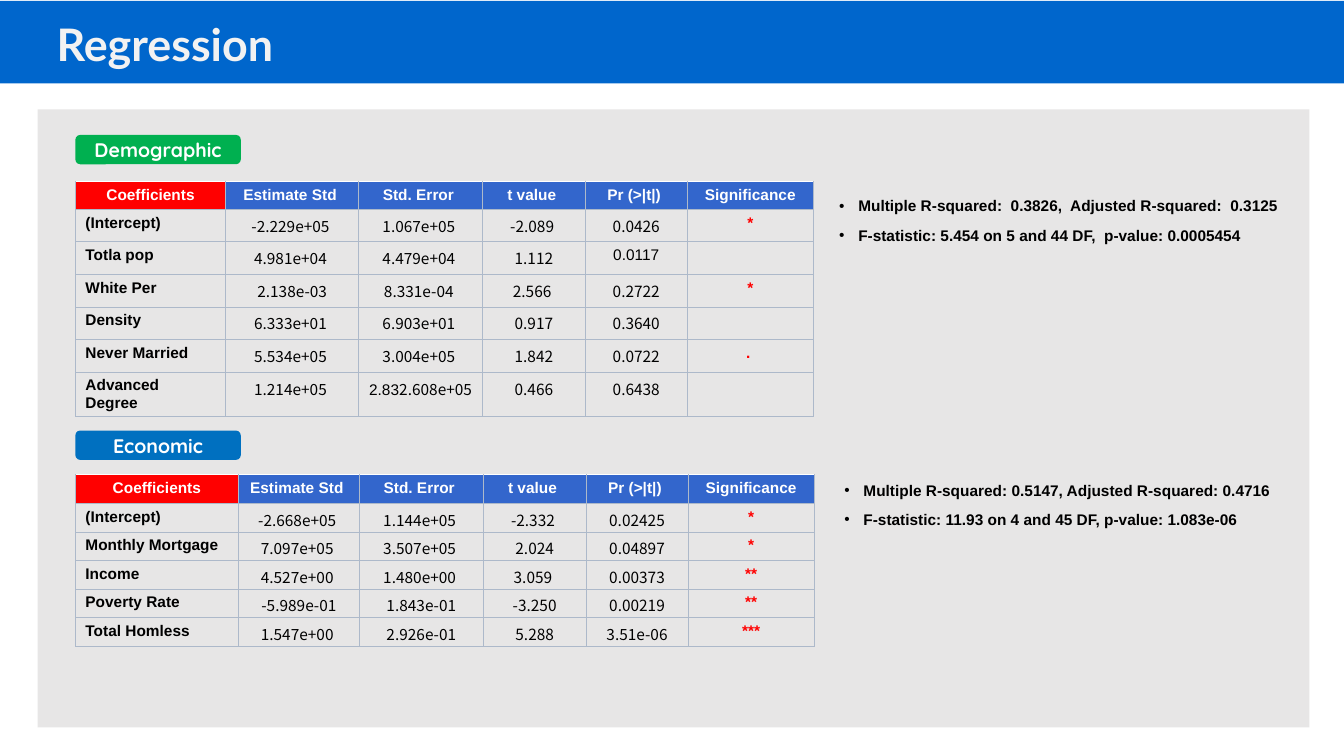
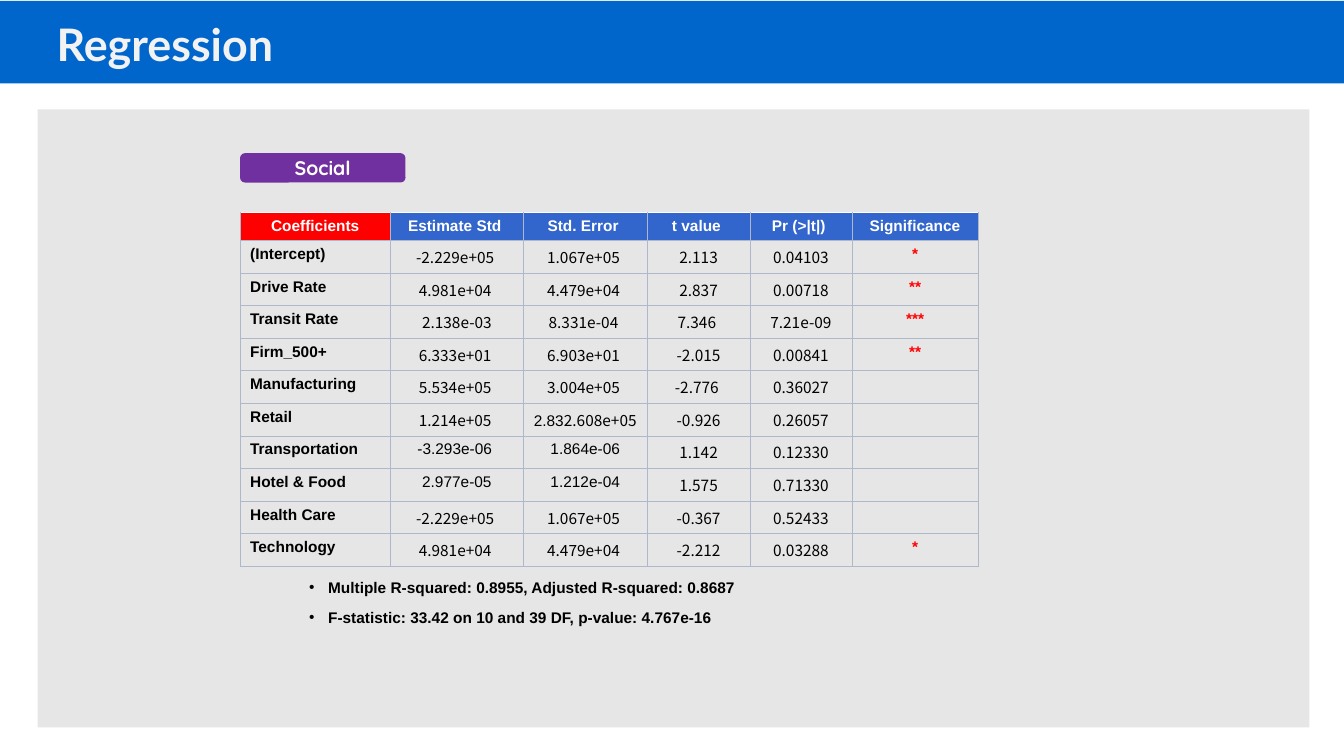
from pptx import Presentation
from pptx.dml.color import RGBColor
from pptx.enum.shapes import MSO_SHAPE
from pptx.enum.text import MSO_ANCHOR, MSO_AUTO_SIZE, PP_ALIGN
from pptx.oxml.ns import qn
from pptx.util import Cm, Pt
from lxml.etree import SubElement

WHITE = RGBColor(0xFF, 0xFF, 0xFF)
BLACK = RGBColor(0x00, 0x00, 0x00)
PALE = RGBColor(0xF2, 0xF2, 0xF2)
GREY = RGBColor(0xE7, 0xE6, 0xE6)
BAND = RGBColor(0x00, 0x66, 0xCC)
HEAD = RGBColor(0x33, 0x66, 0xCC)
RED = RGBColor(0xFF, 0x00, 0x00)
EDGE = RGBColor(0xAD, 0xB9, 0xCA)
GREEN = RGBColor(0x00, 0xB0, 0x50)
BLUE = RGBColor(0x00, 0x70, 0xC0)
PURPLE = RGBColor(0x70, 0x30, 0xA0)

TITLE = {"name": "Lato", "size": Pt(32), "bold": True}
BADGE = {"name": "Quicksand", "size": Pt(14), "bold": True}
STRONG = {"name": "Arial", "size": Pt(11), "bold": True}
PLAIN = {"name": "Arial", "size": Pt(11), "bold": False}
FIGURE = {"name": "Noto Sans CJK KR", "size": Pt(11), "bold": False}

WIDE = (3.79, 3.35, 3.12, 2.59, 2.57, 3.18)
LONG = (4.11, 3.05, 3.12, 2.59, 2.57, 3.18)
HEADS = ("Coefficients", "Estimate Std ", "Std. Error ", "t value ", "Pr (>|t|) ", "Significance")
ARIAL = {"0.0117", "2.83", "-3.293e-06 ", "1.864e-06", "2.977e-05", " 1.212e-04 "}
SPLIT = ("2.83", "2.608e+05 ")

DECK = [
    [
        {
            "name": "Demographic", "tint": GREEN, "left": 1.9, "top": 3.4,
            "grid": 4.57, "cols": WIDE, "row": 0.82, "pad": 0.13, "note": (20.9, 4.83),
            "rows": [
                ("(Intercept)", "-2.229e+05 ", "1.067e+05 ", "-2.089 ", "0.0426", "*"),
                ("Totla pop", "4.981e+04 ", "4.479e+04 ", "1.112", "0.0117", ""),
                ("White Per", " 2.138e-03 ", "8.331e-04 ", "2.566 ", "0.2722", "*"),
                ("Density", "6.333e+01 ", "6.903e+01 ", " 0.917 ", "0.3640", ""),
                ("Never Married", "5.534e+05 ", "3.004e+05 ", "1.842", "0.0722", ". "),
                ("Advanced Degree", "1.214e+05 ", SPLIT, "0.466", "0.6438", ""),
            ],
            "facts": (
                "Multiple R-squared:  0.3826,  Adjusted R-squared:  0.3125",
                "F-statistic: 5.454 on 5 and 44 DF,  p-value: 0.0005454",
            ),
        },
        {
            "name": "Economic", "tint": BLUE, "left": 1.9, "top": 10.85,
            "grid": 11.96, "cols": LONG, "row": 0.72, "pad": 0.02, "note": (21.03, 11.99),
            "rows": [
                ("(Intercept)", "-2.668e+05 ", "1.144e+05 ", "-2.332 ", " 0.02425 ", "*"),
                ("Monthly Mortgage", "7.097e+05 ", "3.507e+05 ", "2.024", "0.04897", "*"),
                ("Income", "4.527e+00 ", "1.480e+00 ", "3.059 ", "0.00373", "**"),
                ("Poverty Rate", " -5.989e-01 ", "1.843e-01", " -3.250 ", "0.00219", "**"),
                ("Total Homless", "1.547e+00 ", "2.926e-01", "5.288", "3.51e-06", "***"),
            ],
            "facts": (
                "Multiple R-squared: 0.5147, Adjusted R-squared: 0.4716",
                "F-statistic: 11.93 on 4 and 45 DF, p-value: 1.083e-06",
            ),
        },
    ],
    [
        {
            "name": "Social", "tint": PURPLE, "left": 6.05, "top": 3.86,
            "grid": 5.36, "cols": WIDE, "row": 0.82, "pad": 0.13, "note": (7.54, 14.45),
            "rows": [
                ("(Intercept)", "-2.229e+05 ", "1.067e+05 ", "2.113", "0.04103", "*"),
                ("Drive Rate", "4.981e+04 ", "4.479e+04 ", "2.837", "0.00718", "**"),
                ("Transit Rate", " 2.138e-03 ", "8.331e-04 ", "7.346 ", "7.21e-09", "***"),
                ("Firm_500+", "6.333e+01 ", "6.903e+01 ", "-2.015", "0.00841", "**"),
                ("Manufacturing", "5.534e+05 ", "3.004e+05 ", "-2.776 ", "0.36027", ""),
                ("Retail", "1.214e+05 ", SPLIT, " -0.926 ", "0.26057", ""),
                ("Transportation", "-3.293e-06 ", "1.864e-06", "1.142", "0.12330", ""),
                ("Hotel & Food", "2.977e-05", " 1.212e-04 ", "1.575", "0.71330", ""),
                ("Health Care", "-2.229e+05 ", "1.067e+05 ", "-0.367", "0.52433", ""),
                ("Technology", "4.981e+04 ", "4.479e+04 ", "-2.212", "0.03288", "*"),
            ],
            "facts": (
                "Multiple R-squared: 0.8955, Adjusted R-squared: 0.8687",
                "F-statistic: 33.42 on 10 and 39 DF, p-value: 4.767e-16",
            ),
        },
    ],
]


def write(para, text, form, tint):
    run = para.add_run()
    run.text = text
    for key, value in form.items():
        setattr(run.font, key, value)
    run.font.color.rgb = tint


def block(slide, kind, box, tint):
    shape = slide.shapes.add_shape(kind, *[Cm(n) for n in box])
    shape.shadow.inherit = False
    shape.fill.solid()
    shape.fill.fore_color.rgb = tint
    shape.line.fill.background()
    return shape


deck = Presentation()
deck.slide_width, deck.slide_height = Cm(33.87), Cm(19.05)

for parts in DECK:
    slide = deck.slides.add_slide(deck.slide_layouts[5])
    title = slide.shapes.title
    for box, tint in (((0.95, 2.76, 32.05, 15.57), GREY), ((0, 0.02, 33.87, 2.08), BAND)):
        back = block(slide, MSO_SHAPE.RECTANGLE, box, tint)
        title.element.addprevious(back.element)
    place = {"left": Cm(1.17), "top": Cm(0.71), "width": Cm(21.23), "height": Cm(1.22)}
    for key, value in place.items():
        setattr(title, key, value)
    frame = title.text_frame
    frame.auto_size = MSO_AUTO_SIZE.NONE
    frame.vertical_anchor = MSO_ANCHOR.BOTTOM
    para = frame.paragraphs[0]
    para.alignment = PP_ALIGN.LEFT
    para.line_spacing = 0.9
    write(para, "Regression", TITLE, PALE)

    for part in parts:
        left, cols, rows = part["left"], part["cols"], [HEADS] + part["rows"]
        high = [0.7] + [part["row"]] * len(part["rows"])
        size = (left, part["grid"], sum(cols), sum(high))
        table = slide.shapes.add_table(len(rows), len(cols), *[Cm(n) for n in size]).table
        table.first_row = table.horz_banding = False
        for col, width in zip(table.columns, cols):
            col.width = Cm(width)
        for r, row in enumerate(rows):
            table.rows[r].height = Cm(high[r])
            for c, item in enumerate(row):
                cell = table.cell(r, c)
                props = cell._tc.get_or_add_tcPr()
                for side in "LRTB":
                    top = r == 0 and side == "T"
                    line = SubElement(props, qn("a:ln" + side), w=str(Pt(1 if top else 0.5)))
                    fill = SubElement(line, qn("a:solidFill"))
                    SubElement(fill, qn("a:srgbClr"), val=str(WHITE if top else EDGE))
                if r == 0:
                    cell.fill.solid()
                    cell.fill.fore_color.rgb = HEAD if c else RED
                else:
                    cell.fill.background()
                    cell.margin_bottom = Cm(part["pad"])
                para = cell.text_frame.paragraphs[0]
                para.alignment = PP_ALIGN.CENTER if c or r == 0 else PP_ALIGN.LEFT
                if not item:
                    SubElement(para._p, qn("a:endParaRPr"), sz="1100")
                    continue
                for text in item if isinstance(item, tuple) else (item,):
                    if r == 0:
                        form, tint = STRONG, WHITE
                    elif c in (0, 5):
                        form, tint = STRONG, RED if c else BLACK
                    else:
                        form, tint = PLAIN if text in ARIAL else FIGURE, BLACK
                    write(para, text, form, tint)

        badge = block(slide, MSO_SHAPE.ROUNDED_RECTANGLE, (left, part["top"], 4.17, 0.74), part["tint"])
        badge.text_frame.vertical_anchor = MSO_ANCHOR.MIDDLE
        para = badge.text_frame.paragraphs[0]
        para.alignment = PP_ALIGN.CENTER
        write(para, part["name"], BADGE, WHITE)

        note = slide.shapes.add_textbox(*[Cm(n) for n in (*part["note"], 12.09, 1.47)])
        frame = note.text_frame
        frame.word_wrap = True
        for i, fact in enumerate(part["facts"]):
            para = frame.add_paragraph() if i else frame.paragraphs[0]
            para.alignment = PP_ALIGN.JUSTIFY
            para.space_after = Pt(8)
            props = para._p.get_or_add_pPr()
            props.set("marL", str(Cm(0.48)))
            props.set("indent", str(-Cm(0.48)))
            SubElement(props, qn("a:buFont"), typeface="Arial")
            SubElement(props, qn("a:buChar"), char="•")
            write(para, fact, STRONG, BLACK)

deck.save("out.pptx")
